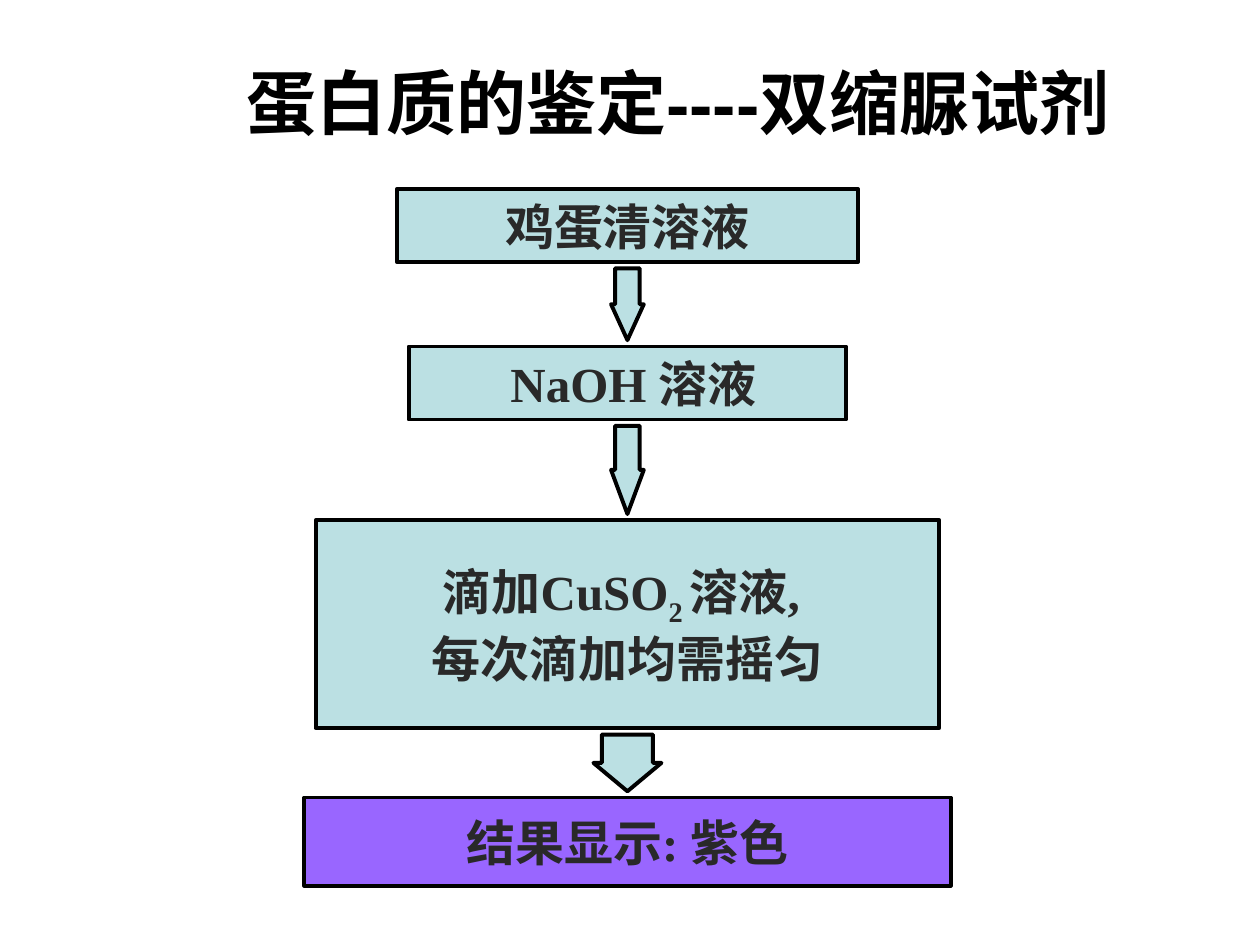
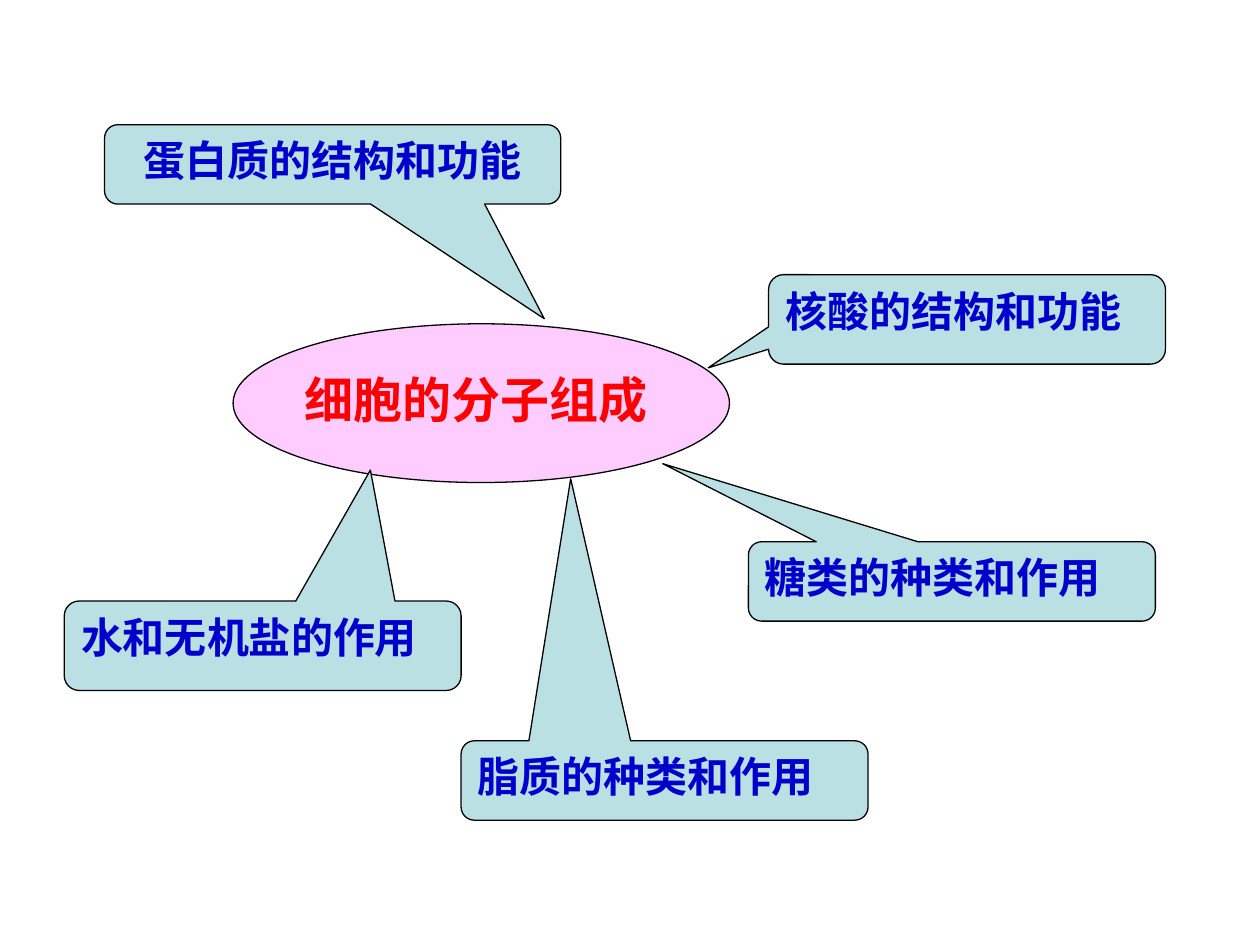
from dataclasses import dataclass

from pptx import Presentation
from pptx.dml.color import RGBColor
from pptx.enum.shapes import MSO_SHAPE
from pptx.enum.text import MSO_ANCHOR, MSO_AUTO_SIZE, PP_ALIGN
from pptx.util import Inches, Pt


@dataclass(frozen=True)
class Theme:
    black: str = "000000"
    teal: str = "BBE0E3"
    purple: str = "9966FF"
    pink: str = "FFCCFF"
    thick: float = 2.25
    thin: float = 0.75


THEME = Theme()
TITLE_TEXT = {"name": "Arial", "size": 40, "bold": True, "color": THEME.black}
STEP_TEXT = {"name": "Times New Roman", "size": 28, "bold": True, "color": "292929"}
TOPIC_TEXT = {"name": "Arial", "size": 28, "bold": True, "color": "FF0000"}
BRANCH_TEXT = {"name": "Arial", "size": 24, "bold": True, "color": "0000CC"}

# Content: protein test
TEST_TITLE = "蛋白质的鉴定----双缩脲试剂"
TEST_TITLE_BOX = (1.42, 0.17, 7.92, 1.27)
FLOW_CENTER = 4.98
ARROW_GAP = 0.05
SUBSCRIPT = "2 "
# Each step: top, width, height, fill, paragraphs made of runs
STEPS = [
    (1.5, 3.66, 0.58, THEME.teal, [["鸡蛋清溶液"]]),
    (2.75, 3.47, 0.58, THEME.teal, [[" NaOH 溶液"]]),
    (4.13, 4.95, 1.65, THEME.teal,
     [["滴加CuSO", SUBSCRIPT, "溶液, "], ["每次滴加均需摇匀"]]),
    (6.33, 5.13, 0.7, THEME.purple, [["结果显示: 紫色"]]),
]
ARROW_WIDTHS = [0.26, 0.26, 0.54]

# Content: molecules of the cell
TOPIC = "细胞的分子组成"
TOPIC_OVAL = (1.85, 2.57, 3.94, 1.26)
TOPIC_LABEL = (2.32, 2.88, 3.31, 0.57)
# Each branch: text, box, pointer tip, alignment
BRANCHES = [
    ("蛋白质的结构和功能", (0.83, 0.99, 3.62, 0.63), (4.32, 2.53), PP_ALIGN.CENTER),
    ("核酸的结构和功能", (6.1, 2.18, 3.15, 0.71), (5.62, 2.92), PP_ALIGN.LEFT),
    ("糖类的种类和作用", (5.94, 4.3, 3.23, 0.63), (5.26, 3.68), PP_ALIGN.LEFT),
    ("脂质的种类和作用", (3.66, 5.88, 3.23, 0.63), (4.53, 3.8), PP_ALIGN.LEFT),
    ("水和无机盐的作用", (0.51, 4.77, 3.15, 0.71), (2.94, 3.73), PP_ALIGN.LEFT),
]


def inches(box):
    return [Inches(value) for value in box]


def format_font(font, style):
    values = {"name": style["name"], "size": Pt(style["size"]), "bold": style["bold"]}
    for attribute, value in values.items():
        setattr(font, attribute, value)
    font.color.rgb = RGBColor.from_string(style["color"])


def write_text(shape, paragraphs, style, align, anchor=MSO_ANCHOR.TOP, wrap=True):
    frame = shape.text_frame
    frame.word_wrap = wrap
    frame.vertical_anchor = anchor
    for index, runs in enumerate(paragraphs):
        paragraph = frame.add_paragraph() if index else frame.paragraphs[0]
        paragraph.alignment = align
        for text in runs:
            run = paragraph.add_run()
            run.text = text
            format_font(run.font, style)
            if text == SUBSCRIPT:
                run.font._element.set("baseline", "-25000")


def add_outlined(shapes, kind, box, fill, line_width):
    shape = shapes.add_shape(kind, *inches(box))
    shape.shadow.inherit = False
    shape.fill.solid()
    shape.fill.fore_color.rgb = RGBColor.from_string(fill)
    shape.line.color.rgb = RGBColor.from_string(THEME.black)
    shape.line.width = Pt(line_width)
    return shape


def add_arrow(shapes, top, bottom, width):
    height = bottom - top
    box = (FLOW_CENTER - width / 2, top, width, height)
    arrow = add_outlined(shapes, MSO_SHAPE.DOWN_ARROW, box, THEME.teal, THEME.thick)
    # The head takes half of the arrow's height
    arrow.adjustments[0] = 0.75
    arrow.adjustments[1] = height / 2 / min(width, height)


def build_protein_test(presentation):
    slide = presentation.slides.add_slide(presentation.slide_layouts[5])
    title = slide.shapes.title
    title.left, title.top, title.width, title.height = inches(TEST_TITLE_BOX)
    write_text(title, [[TEST_TITLE]], TITLE_TEXT, PP_ALIGN.CENTER, MSO_ANCHOR.MIDDLE)

    # Steps share one centre line
    for top, width, height, fill, paragraphs in STEPS:
        box = (FLOW_CENTER - width / 2, top, width, height)
        step = add_outlined(slide.shapes, MSO_SHAPE.RECTANGLE, box, fill, THEME.thick)
        write_text(step, paragraphs, STEP_TEXT, PP_ALIGN.CENTER,
                   MSO_ANCHOR.MIDDLE, wrap=False)

    # Arrows fill the space between steps
    for step, following, width in zip(STEPS, STEPS[1:], ARROW_WIDTHS):
        step_bottom = step[0] + step[2]
        add_arrow(slide.shapes, step_bottom + ARROW_GAP, following[0] - ARROW_GAP, width)


def build_cell_molecules(presentation):
    slide = presentation.slides.add_slide(presentation.slide_layouts[6])

    # Central topic
    group = slide.shapes.add_group_shape()
    add_outlined(group.shapes, MSO_SHAPE.OVAL, TOPIC_OVAL, THEME.pink, THEME.thin)
    label = group.shapes.add_textbox(*inches(TOPIC_LABEL))
    write_text(label, [[TOPIC]], TOPIC_TEXT, PP_ALIGN.LEFT)
    label.text_frame.auto_size = MSO_AUTO_SIZE.SHAPE_TO_FIT_TEXT

    # Branches point at the topic
    for text, box, (tip_x, tip_y), align in BRANCHES:
        left, top, width, height = box
        callout = add_outlined(slide.shapes, MSO_SHAPE.ROUNDED_RECTANGULAR_CALLOUT,
                               box, THEME.teal, THEME.thin)
        callout.adjustments[0] = (tip_x - left) / width - 0.5
        callout.adjustments[1] = (tip_y - top) / height - 0.5
        write_text(callout, [[text]], BRANCH_TEXT, align)


def main():
    presentation = Presentation()
    presentation.slide_width, presentation.slide_height = inches((10, 7.5))
    build_protein_test(presentation)
    build_cell_molecules(presentation)
    presentation.save("out.pptx")


if __name__ == "__main__":
    main()
